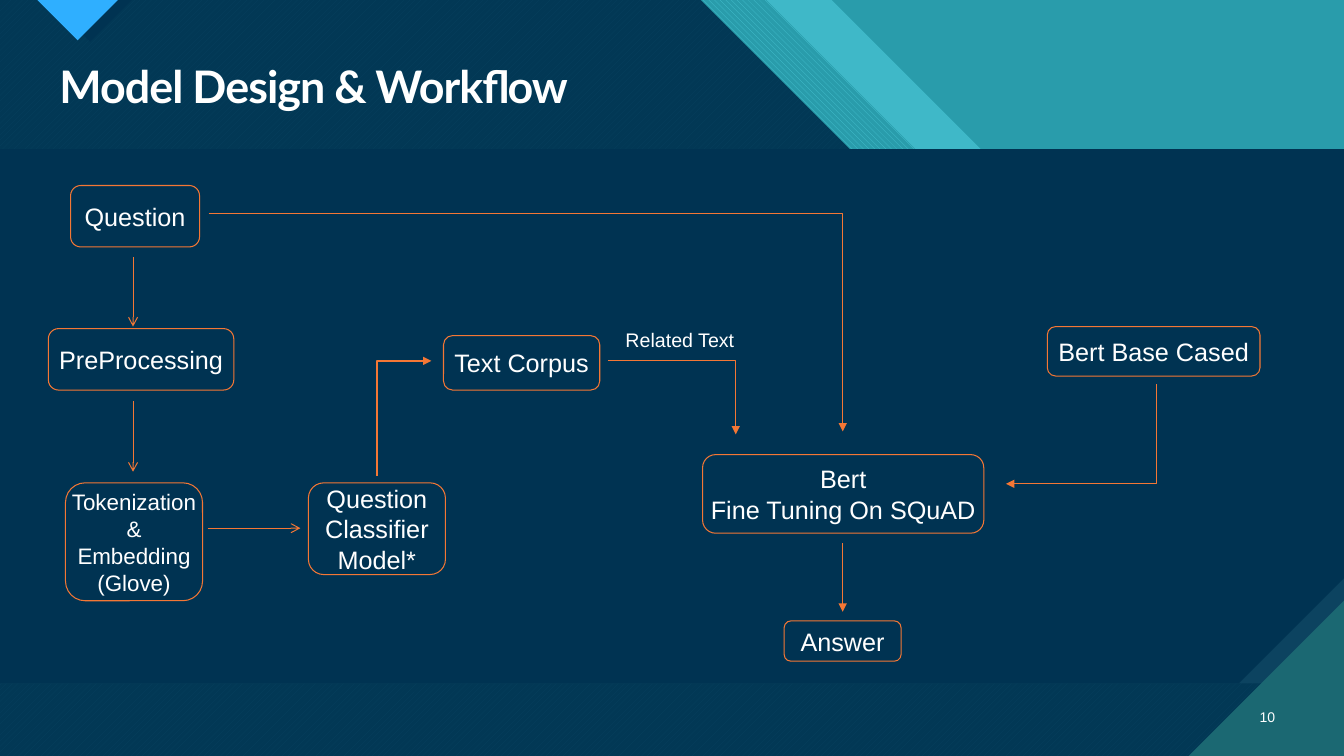
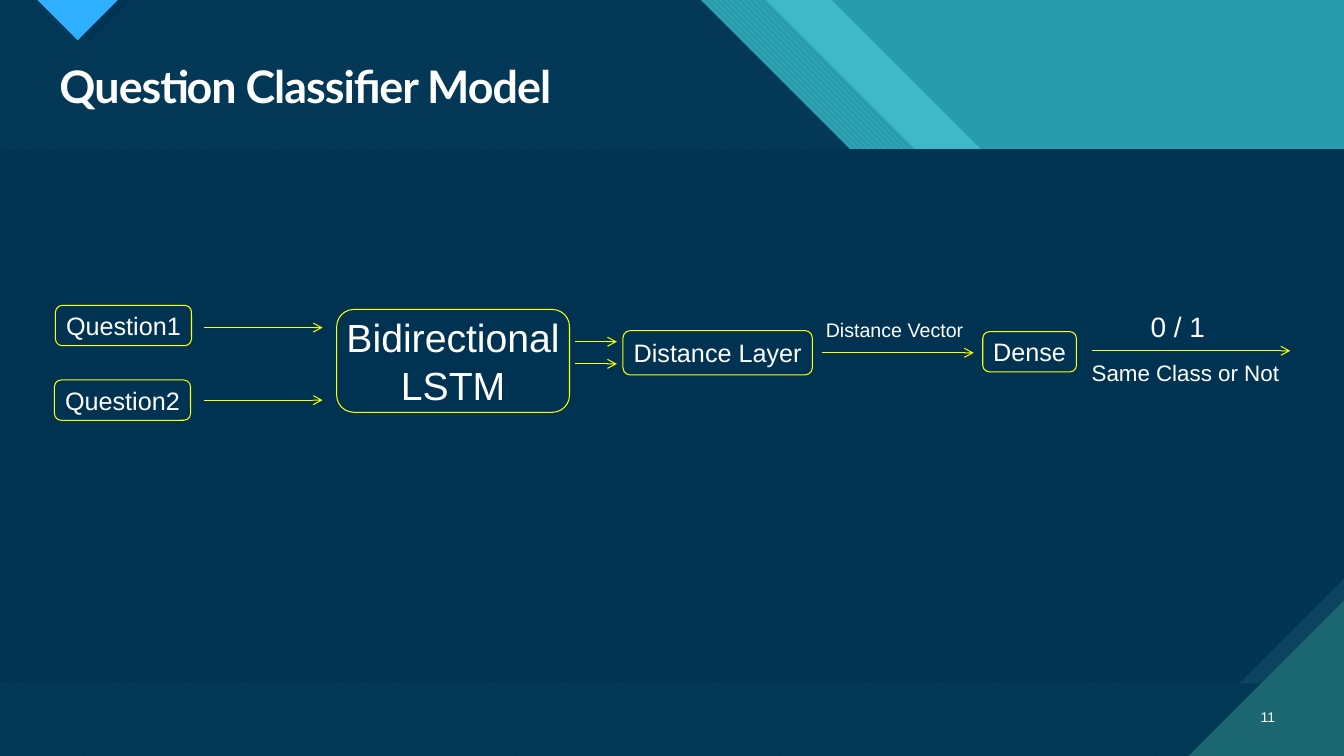
from lxml.etree import SubElement
from pptx import Presentation
from pptx.dml.color import RGBColor
from pptx.enum.dml import MSO_PATTERN
from pptx.enum.shapes import MSO_CONNECTOR, MSO_SHAPE
from pptx.enum.text import MSO_ANCHOR, MSO_AUTO_SIZE, PP_ALIGN
from pptx.oxml.ns import qn
from pptx.util import Inches, Pt

COLUMNS, ROWS = 80, 45
CELL = Inches(1) // 6
PANEL_TOP, PANEL_BOTTOM = 8.88, 40.68

NAVY = RGBColor(0x00, 0x33, 0x52)
SLATE = RGBColor(0x0C, 0x43, 0x60)
PINE = RGBColor(0x1B, 0x68, 0x72)
TEAL = RGBColor(0x29, 0x9C, 0xAB)
AQUA = RGBColor(0x47, 0xC3, 0xD3)
SKY = RGBColor(0x2F, 0xAF, 0xFF)
WHITE = RGBColor(0xFF, 0xFF, 0xFF)
ORANGE = RGBColor(0xF4, 0x77, 0x35)
YELLOW = RGBColor(0xFF, 0xFF, 0x00)


def grid(*cells):
    return [round(cell * CELL) for cell in cells]


def write(box, text, size=18, font="Arial", bold=False, align=PP_ALIGN.CENTER,
          anchor=MSO_ANCHOR.MIDDLE, wrap=False, inset=0, spacing=None, tracking=None):
    frame = box.text_frame
    frame.word_wrap = wrap
    frame.auto_size = MSO_AUTO_SIZE.NONE
    frame.vertical_anchor = anchor
    frame.margin_left = frame.margin_right = Inches(inset)
    frame.margin_top = frame.margin_bottom = Inches(inset / 2)
    for index, line in enumerate(text.split("\n")):
        para = frame.add_paragraph() if index else frame.paragraphs[0]
        para.alignment = align
        para.line_spacing = spacing
        span = para.add_run()
        span.text = line
        span.font.size = Pt(size)
        span.font.name = font
        span.font.bold = bold
        span.font.color.rgb = WHITE
        if tracking:
            span.font._element.set("spc", str(tracking))


def add_label(page, text, place, **style):
    write(page.shapes.add_textbox(*grid(*place)), text, **style)


def add_node(page, text, place, color, **style):
    box = page.shapes.add_shape(MSO_SHAPE.ROUNDED_RECTANGLE, *grid(*place))
    box.shadow.inherit = False
    box.fill.background()
    box.line.color.rgb = color
    box.line.width = Pt(0.75)
    write(box, text, **style)


def add_arrow(page, start, end, color, head="arrow", bent=False, reverse=False, width=0.75):
    kind = MSO_CONNECTOR.ELBOW if bent else MSO_CONNECTOR.STRAIGHT
    arrow = page.shapes.add_connector(kind, *grid(*start, *end))
    arrow.line.color.rgb = color
    arrow.line.width = Pt(width)
    properties = arrow.element.spPr
    if bent:
        properties.find(qn("a:prstGeom")).set("prst", "bentConnector2")
    tip = "a:headEnd" if reverse else "a:tailEnd"
    SubElement(properties.find(qn("a:ln")), qn(tip), type=head)
    SubElement(properties, qn("a:effectLst"))


def add_outline(page, points, color, pattern=None, back=None, opacity=None):
    points = [grid(*point) for point in points]
    builder = page.shapes.build_freeform(*points[0], scale=1.0)
    builder.add_line_segments(points[1:], close=True)
    shape = builder.convert_to_shape()
    shape.shadow.inherit = False
    shape.line.fill.background()
    if pattern:
        shape.fill.patterned()
        shape.fill.pattern = pattern
        shape.fill.fore_color.rgb = color
        shape.fill.back_color.rgb = back
    else:
        shape.fill.solid()
        shape.fill.fore_color.rgb = color
    if opacity:
        tint = shape.element.spPr.find(qn("a:solidFill"))[0]
        SubElement(tint, qn("a:alpha"), val=str(opacity * 1000))
    return shape


def slanted(edge):
    return [(0, 0), (edge, 0), (edge + 9, 9), (COLUMNS, 9), (COLUMNS, ROWS), (0, ROWS)]


def panel(cut):
    return [(0, PANEL_TOP), (COLUMNS, PANEL_TOP), (COLUMNS, PANEL_BOTTOM - cut),
            (COLUMNS - cut, PANEL_BOTTOM), (0, PANEL_BOTTOM)]


def marker(left, width):
    return [(left, 0), (left + width, 0), (left + width / 2, width / 2)]


def dress_layout(layout, page):
    layout.background.fill.solid()
    layout.background.fill.fore_color.rgb = TEAL
    for holder in list(layout.placeholders):
        if holder.placeholder_format.idx:
            holder.element.getparent().remove(holder.element)
    title = layout.placeholders[0]
    title.left, title.top, title.width, title.height = grid(2.94, 3.54, 73.56, 3.54)
    corner = 9.24
    backdrop = [
        add_outline(page, slanted(49.5), AQUA, opacity=74),
        add_outline(page, slanted(45.6), AQUA, MSO_PATTERN.WIDE_DOWNWARD_DIAGONAL, TEAL),
        add_outline(page, slanted(41.7), AQUA, MSO_PATTERN.WIDE_UPWARD_DIAGONAL, PINE),
        add_outline(page, slanted(41.7), NAVY, opacity=90),
        add_outline(page, marker(2.88, 4.98), NAVY),
        add_outline(page, marker(2.22, 4.8), SKY),
        add_outline(page, panel(0), SLATE),
        add_outline(page, panel(6.27), NAVY),
        add_outline(page, [(COLUMNS - corner, ROWS), (COLUMNS, ROWS),
                           (COLUMNS, ROWS - corner)], PINE),
    ]
    for index, shape in enumerate(backdrop):
        layout.shapes.element.insert(2 + index, shape.element)


def head_page(page, title, number):
    write(page.shapes.title, title, size=32, font="Lato", bold=True, align=PP_ALIGN.LEFT,
          anchor=MSO_ANCHOR.TOP, wrap=True, inset=0.1, spacing=0.9, tracking=-70)
    add_label(page, number, (73.86, 41.46, 2.64, 2.4), size=10, align=PP_ALIGN.RIGHT,
              inset=0.1)


def fill_workflow(page):
    nodes = [
        ("Question", (4.2, 11.04, 7.68, 3.66), 18),
        ("PreProcessing", (2.88, 19.56, 11.04, 3.66), 18),
        ("Tokenization\n&\nEmbedding\n(Glove)", (3.9, 28.74, 8.16, 7.02), 16),
        ("Question\nClassifier\nModel*", (18.36, 28.74, 8.16, 5.46), 18),
        ("Text Corpus", (26.4, 19.98, 9.3, 3.24), 18),
        ("Bert Base Cased", (62.34, 19.44, 12.66, 2.94), 18),
        ("Bert\nFine Tuning On SQuAD", (41.82, 27.06, 16.74, 4.68), 18),
        ("Answer", (46.68, 36.96, 6.96, 2.4), 18),
    ]
    for text, place, size in nodes:
        add_node(page, text, place, ORANGE, size=size)
    add_label(page, "Related Text", (36.6, 19.2, 7.74, 2.04), size=14)

    question_axis, answer_axis, corpus_row = 7.92, 50.16, 21.48
    add_arrow(page, (question_axis, 15.3), (question_axis, 19.44), ORANGE)
    add_arrow(page, (question_axis, 23.88), (question_axis, 28.08), ORANGE)
    add_arrow(page, (12.36, 31.44), (17.88, 31.44), ORANGE)
    add_arrow(page, (answer_axis, 32.34), (answer_axis, 36.42), ORANGE, head="triangle")
    bends = [
        ((25.68, corpus_row), (22.44, 28.32), True, 1),
        ((36.18, corpus_row), (43.8, 25.86), False, 0.75),
        ((59.88, 28.8), (68.82, 22.86), True, 0.75),
        ((12.42, 12.72), (answer_axis, 25.68), False, 0.75),
    ]
    for start, end, reverse, width in bends:
        add_arrow(page, start, end, ORANGE, head="triangle", bent=True,
                  reverse=reverse, width=width)


def fill_classifier(page):
    nodes = [
        ("Question1", (3.3, 18.18, 8.1, 2.4), 18),
        ("Question2", (3.24, 22.62, 8.1, 2.4), 18),
        ("Bidirectional\nLSTM", (20.04, 18.42, 13.86, 6.12), 28),
        ("Distance Layer", (37.08, 19.68, 11.28, 2.64), 18),
        ("Dense", (58.5, 19.74, 5.58, 2.4), 18),
    ]
    for text, place, size in nodes:
        add_node(page, text, place, YELLOW, size=size)
    labels = [
        ("Distance Vector", (48.54, 18.6, 9.42, 2.04), 14),
        ("0 / 1", (67.86, 18.12, 4.5, 2.64), 20),
        ("Same Class or Not", (64.32, 21.06, 12.48, 2.22), 16),
    ]
    for text, place, size in labels:
        add_label(page, text, place, size=size)
    flows = [
        (12.12, 19.2, 19.5), (12.12, 19.2, 23.82),
        (34.2, 36.72, 20.34), (34.2, 36.72, 21.66),
        (48.9, 57.96, 21), (64.98, 76.8, 20.88),
    ]
    for left, right, row in flows:
        add_arrow(page, (left, row), (right, row), YELLOW)


def main():
    deck = Presentation()
    deck.slide_width, deck.slide_height = grid(COLUMNS, ROWS)
    layout = deck.slide_layouts[5]
    workflow = deck.slides.add_slide(layout)
    dress_layout(layout, workflow)
    head_page(workflow, "Model Design & Workflow", "10")
    fill_workflow(workflow)
    classifier = deck.slides.add_slide(layout)
    head_page(classifier, "Question Classifier Model", "11")
    fill_classifier(classifier)
    deck.save("out.pptx")


main()
